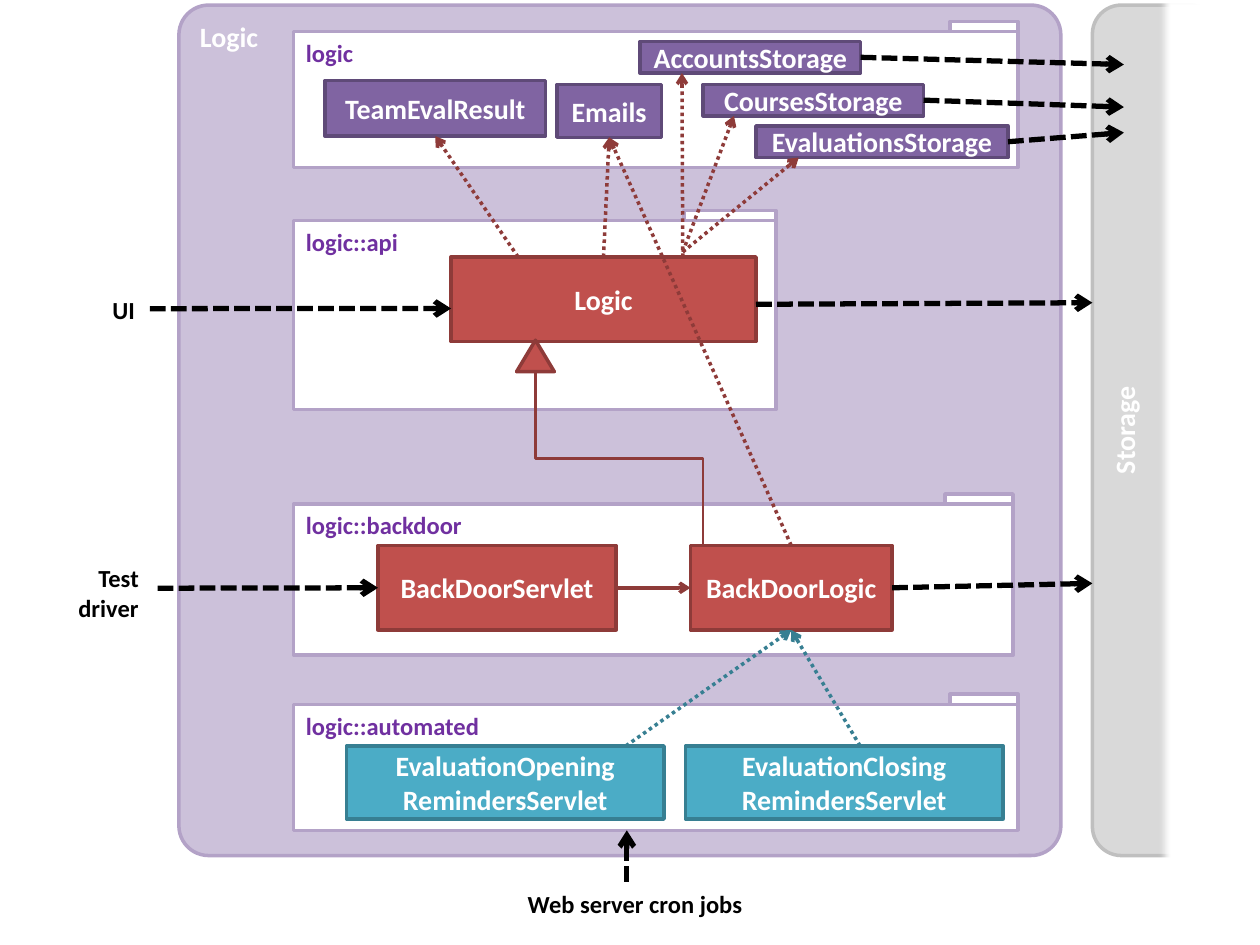
from lxml import etree
from pptx import Presentation
from pptx import util as u
from pptx.dml.color import RGBColor
from pptx.enum import dml, shapes, text
from pptx.oxml.ns import qn

WHITE = RGBColor(0xFF, 0xFF, 0xFF)
BLACK = RGBColor(0, 0, 0)
LILAC, LILAC_EDGE = RGBColor(0xCC, 0xC1, 0xDA), RGBColor(0xB3, 0xA2, 0xC7)
GREY, GREY_EDGE = RGBColor(0xD9, 0xD9, 0xD9), RGBColor(0xBF, 0xBF, 0xBF)
TITLE = RGBColor(0x70, 0x30, 0xA0)
RED = RGBColor(0xC0, 0x50, 0x4D), RGBColor(0x8E, 0x3B, 0x39)
PURPLE = RGBColor(0x80, 0x64, 0xA2), RGBColor(0x5F, 0x4A, 0x78)
TEAL = RGBColor(0x4B, 0xAC, 0xC6), RGBColor(0x37, 0x7F, 0x92)

KIND = shapes.MSO_SHAPE
LEFT, CENTER, RIGHT = text.PP_ALIGN.LEFT, text.PP_ALIGN.CENTER, text.PP_ALIGN.RIGHT
TOP, MIDDLE = text.MSO_ANCHOR.TOP, text.MSO_ANCHOR.MIDDLE
DOT, DASH = dml.MSO_LINE.ROUND_DOT, dml.MSO_LINE.SQUARE_DOT
SIDES = [(0.5, 0), (0, 0.5), (0.5, 1), (1, 0.5)]  # top, left, bottom, right
TOP_SIDE, LEFT_SIDE, BOTTOM_SIDE, RIGHT_SIDE = range(4)


def write(s, words, size, color, align=LEFT, anchor=TOP):
    tf = s.text_frame
    tf.word_wrap = True
    tf.vertical_anchor = anchor
    tf.text = words
    for p in tf.paragraphs:
        p.alignment = align
        p.font.name, p.font.size, p.font.bold = "Calibri", u.Pt(size), True
        p.font.color.rgb = color


def add_box(parent, kind, box, fill, edge=None):
    s = parent.add_shape(kind, *(u.Inches(v) for v in box))
    s.shadow.inherit = False
    s.fill.solid()
    s.fill.fore_color.rgb = fill
    if edge is None:
        s.line.fill.background()
    else:
        s.line.color.rgb = edge
        s.line.width = u.Pt(2)
    return s


def add_panel(sh, box, radius, fill, edge, title, align=LEFT):
    s = add_box(sh, KIND.ROUNDED_RECTANGLE, box, fill, edge)
    s.adjustments[0] = radius
    write(s, title, 16, WHITE, align)
    return s


def add_storage(sh, box, nodes):
    x, y, w, h = box
    s = add_panel(sh, box, 0.23, GREY, GREY_EDGE, "Storage", CENTER)
    s.text_frame._txBody.bodyPr.set("vert", "vert270")
    nodes["Storage"] = s
    # Soft white cover that fades out the right half
    cover = add_box(sh, KIND.RECTANGLE, (x + w / 2, y - 0.12, 0.67, h + 0.83), WHITE)
    effects = cover._element.spPr.find(qn("a:effectLst"))
    etree.SubElement(effects, qn("a:softEdge"), rad=str(u.Pt(5)))


def add_package(sh, box, title, tab, parts, nodes):
    """Frame with a tab at its top right; parts are offset from its corner."""
    x, y, w, _ = box
    group = sh.add_group_shape().shapes
    frame = add_box(group, KIND.RECTANGLE, box, WHITE, LILAC_EDGE)
    write(frame, title, 14, TITLE)
    add_box(group, KIND.RECTANGLE, (x + w - tab, y - 0.08, tab, 0.08), WHITE, LILAC_EDGE)
    nodes[title] = frame
    for name, dx, dy, pw, ph, (fill, edge) in parts:
        s = add_box(sh, KIND.RECTANGLE, (x + dx, y + dy, pw, ph), fill, edge)
        write(s, name, 16, WHITE, CENTER, MIDDLE)
        nodes[name.split("\v")[0]] = s


def add_label(sh, box, words, nodes):
    s = sh.add_textbox(*(u.Inches(v) for v in box))
    write(s, words, 14, BLACK, RIGHT)
    nodes[words] = s


def style_line(c, color, width, dash=None, arrow=True):
    c.line.color.rgb = color
    c.line.width = u.Pt(width)
    if dash:
        c.line.dash_style = dash
    if arrow:
        etree.SubElement(c.line._get_or_add_ln(), qn("a:tailEnd"), type="arrow")
    etree.SubElement(c._element.spPr, qn("a:effectLst"))


def add_arrow(sh, nodes, start, end, color, width=2, dash=None):
    """Each end is (node, side) or (node, (share of width, share of height))."""
    points = []
    for name, spot in (start, end):
        s = nodes[name]
        fx, fy = SIDES[spot] if isinstance(spot, int) else spot
        points += [int(s.left + fx * s.width), int(s.top + fy * s.height)]
    c = sh.add_connector(shapes.MSO_CONNECTOR.STRAIGHT, *points)
    for (name, spot), join in ((start, c.begin_connect), (end, c.end_connect)):
        if isinstance(spot, int):
            join(nodes[name], spot)
    style_line(c, color, width, dash)


def add_inheritance(sh, parent, child):
    """Triangle under the parent, with an elbow down to the child's top."""
    fill, edge = RED
    x, y = u.Emu(parent.left).inches + 0.67, u.Emu(parent.top + parent.height).inches
    add_box(sh, KIND.ISOSCELES_TRIANGLE, (x - 0.15, y - 0.01, 0.3, 0.25), fill, edge)
    y += 0.24
    x2, y2 = u.Emu(child.left).inches + 0.1, u.Emu(child.top).inches
    mx, my, half_w, half_h = (x + x2) / 2, (y + y2) / 2, (x2 - x) / 2, (y2 - y) / 2
    # A quarter turn makes the elbow leave vertically
    c = sh.add_connector(shapes.MSO_CONNECTOR.ELBOW, *(u.Inches(v) for v in (
        mx + half_h, my - half_w, mx - half_h, my + half_w)))
    c._element.spPr.find(qn("a:xfrm")).set("rot", "16200000")
    style_line(c, edge, 1.5, arrow=False)


def main():
    prs = Presentation()
    prs.slide_width, prs.slide_height = u.Inches(10), u.Inches(7.5)
    sh = prs.slides.add_slide(prs.slide_layouts[6]).shapes
    nodes = {}

    # Component panels
    add_panel(sh, (1.42, 0.04, 7, 6.75), 0.035, LILAC, LILAC_EDGE, "Logic")
    add_storage(sh, (8.67, 0.04, 1, 6.75), nodes)

    # Packages and their classes
    packages = [
        ((2.33, 0.25, 5.75, 1.08), "logic", 0.54, [
            ("TeamEvalResult", 0.25, 0.39, 1.75, 0.44, PURPLE),
            ("Emails", 2.09, 0.42, 0.83, 0.42, PURPLE),
            ("AccountsStorage", 2.75, 0.08, 1.75, 0.25, PURPLE),
            ("CoursesStorage", 3.25, 0.42, 1.75, 0.25, PURPLE),
            ("EvaluationsStorage", 3.67, 0.75, 2, 0.25, PURPLE)]),
        ((2.33, 1.75, 3.83, 1.5), "logic::api", 0.73, [
            ("Logic", 1.25, 0.29, 2.42, 0.67, RED)]),
        ((2.33, 4, 5.71, 1.2), "logic::backdoor", 0.54, [
            ("BackDoorServlet", 0.67, 0.33, 1.89, 0.67, RED),
            ("BackDoorLogic", 3.15, 0.33, 1.6, 0.67, RED)]),
        ((2.33, 5.59, 5.75, 1), "logic::automated", 0.54, [
            ("EvaluationOpening\vRemindersServlet", 0.42, 0.33, 2.52, 0.58, TEAL),
            ("EvaluationClosing\vRemindersServlet", 3.11, 0.33, 2.52, 0.58, TEAL)]),
    ]
    for package in packages:
        add_package(sh, *package, nodes)

    # Outside callers
    add_label(sh, (0.5, 2.29, 0.67, 0.34), "UI", nodes)
    add_label(sh, (0.17, 4.42, 1.03, 0.34), "Test driver", nodes)
    add_label(sh, (4, 7.01, 1.99, 0.34), "Web server cron jobs", nodes)

    # Relations inside the component
    add_inheritance(sh, nodes["Logic"], nodes["BackDoorLogic"])
    add_arrow(sh, nodes, ("BackDoorServlet", RIGHT_SIDE), ("BackDoorLogic", LEFT_SIDE), RED[1])
    uses = [
        (("Logic", (0.22, 0)), ("TeamEvalResult", BOTTOM_SIDE), RED),
        (("Logic", TOP_SIDE), ("Emails", BOTTOM_SIDE), RED),
        (("BackDoorLogic", TOP_SIDE), ("Emails", BOTTOM_SIDE), RED),
        (("Logic", (0.76, 0)), ("AccountsStorage", (0.19, 1)), RED),
        (("Logic", (0.76, -0.06)), ("CoursesStorage", (0.14, 1)), RED),
        (("Logic", (0.76, -0.06)), ("EvaluationsStorage", (0.17, 1)), RED),
        (("EvaluationOpening", (0.88, 0)), ("BackDoorLogic", BOTTOM_SIDE), TEAL),
        (("EvaluationClosing", (0.55, 0)), ("BackDoorLogic", BOTTOM_SIDE), TEAL),
    ]
    for start, end, (_, edge) in uses:
        add_arrow(sh, nodes, start, end, edge, dash=DOT)

    # Calls across the component border
    calls = [
        (("UI", (1.03, 0.47)), ("Logic", (0, 0.61))),
        (("Test driver", (1.05, 0.73)), ("BackDoorServlet", LEFT_SIDE)),
        (("Web server cron jobs", (0.49, -0.03)), ("logic::automated", (0.46, 1))),
        (("AccountsStorage", RIGHT_SIDE), ("Storage", (0.25, 0.07))),
        (("CoursesStorage", RIGHT_SIDE), ("Storage", (0.25, 0.12))),
        (("EvaluationsStorage", RIGHT_SIDE), ("Storage", (0.25, 0.15))),
        (("Logic", (1, 0.56)), ("Storage", (0, 0.35))),
        (("BackDoorLogic", RIGHT_SIDE), ("Storage", (0, 0.68))),
    ]
    for start, end in calls:
        add_arrow(sh, nodes, start, end, BLACK, 3, DASH)

    prs.save("out.pptx")


if __name__ == "__main__":
    main()
